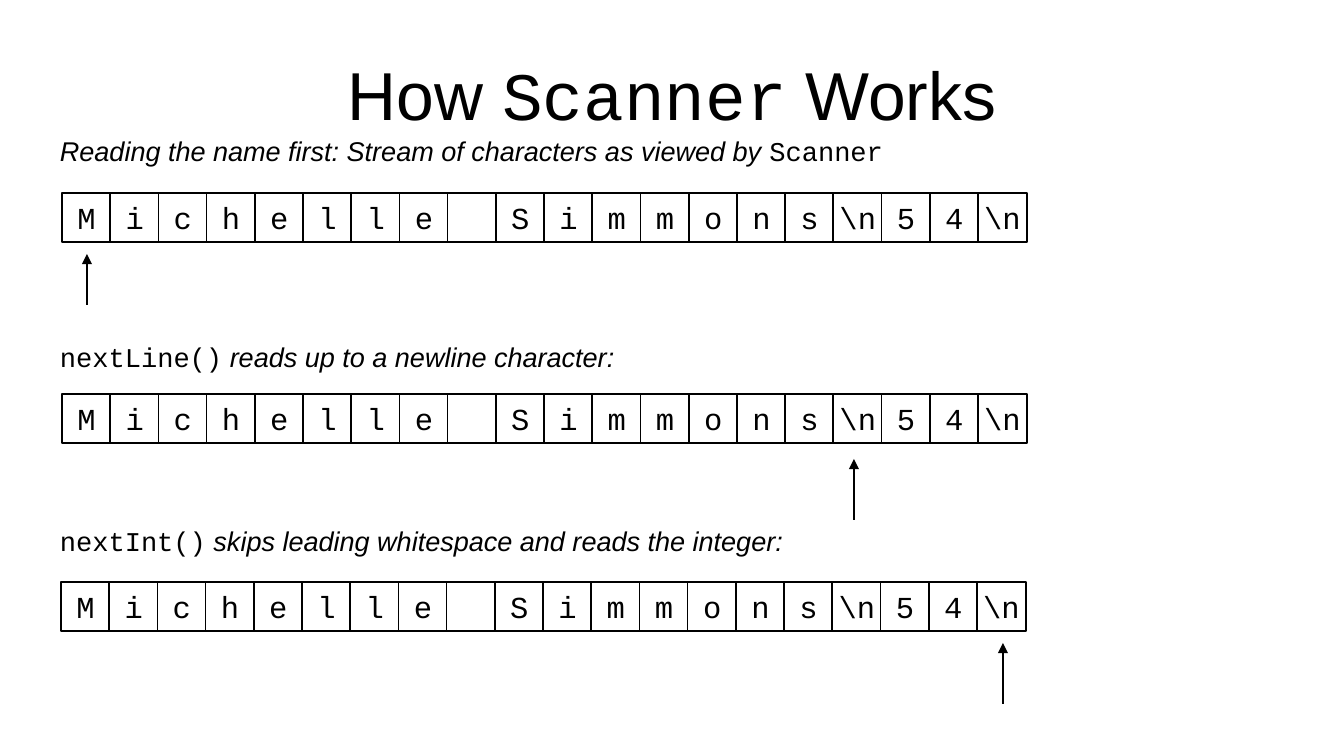
"""Slide showing how Scanner reads a stream of characters."""
from lxml import etree
from pptx import Presentation
from pptx.dml.color import RGBColor
from pptx.enum.shapes import MSO_CONNECTOR, MSO_SHAPE
from pptx.enum.text import MSO_ANCHOR, PP_ALIGN
from pptx.oxml.ns import qn
from pptx.util import Pt

PX = 914400 / 122
BLACK = RGBColor(0x00, 0x00, 0x00)
WHITE = RGBColor(0xFF, 0xFF, 0xFF)
SANS, MONO = "Arial", "Courier New"

STREAM = [*"Michelle Simmons", "\\n", "5", "4", "\\n"]
CELL = 49
ROW_SPAN = 916


def px(*lengths):
    return [round(n * PX) for n in lengths]


def write(shape, runs, size, margins, align=PP_ALIGN.LEFT, anchor=MSO_ANCHOR.TOP, wrap=False):
    tf = shape.text_frame
    tf.word_wrap = wrap
    tf.vertical_anchor = anchor
    tf.margin_left, tf.margin_top = px(*margins)
    tf.margin_right, tf.margin_bottom = px(*margins)
    p = tf.paragraphs[0]
    p.alignment = align
    for text, font, italic in runs:
        r = p.add_run()
        r.text = text
        r.font.name = font
        r.font.size = Pt(size)
        r.font.italic = italic
        r.font.color.rgb = BLACK


prs = Presentation()
prs.slide_width, prs.slide_height = px(1344, 756)
s = prs.slides.add_slide(prs.slide_layouts[6])

title = s.shapes.add_textbox(*px(67, 30, 1210, 127))
title_runs = [("How ", SANS, False), ("Scanner", MONO, False), (" Works", SANS, False)]
write(title, title_runs, 40, (0, 0), PP_ALIGN.CENTER, MSO_ANCHOR.MIDDLE, True)

STEPS = [
    ([("Reading the name first: Stream of characters as viewed by ", SANS, True),
      ("Scanner", MONO, False)], (128, 849), (62, 193), (87, 305, 254)),
    ([("nextLine()", MONO, False),
      (" reads up to a newline character:", SANS, True)], (334, 580), (62, 394), (854, 520, 459)),
    ([("nextInt()", MONO, False),
      (" skips leading whitespace and reads the integer:", SANS, True)],
     (518, 749), (61, 582), (1003, 704, 643)),
]

for label_runs, (label_top, label_width), (row_left, row_top), (arrow_x, tail_y, tip_y) in STEPS:
    label = s.shapes.add_textbox(*px(48, label_top, label_width, 45))
    write(label, label_runs, 16, (12, 6))

    for i, char in enumerate(STREAM):
        left = row_left + i * ROW_SPAN / (len(STREAM) - 1)
        sp = s.shapes.add_shape(MSO_SHAPE.RECTANGLE, *px(left, row_top, CELL, CELL))
        sp.shadow.inherit = False
        sp.fill.solid()
        sp.fill.fore_color.rgb = WHITE
        sp.line.color.rgb = BLACK
        sp.line.width = Pt(1)
        if char != " ":
            write(sp, [(char, MONO, False)], 18, (13, 7), PP_ALIGN.CENTER, MSO_ANCHOR.MIDDLE)

    arrow = s.shapes.add_connector(MSO_CONNECTOR.STRAIGHT, *px(arrow_x, tail_y, arrow_x, tip_y))
    arrow.line.color.rgb = BLACK
    arrow.line.width = Pt(1.5)
    etree.SubElement(arrow.line._get_or_add_ln(), qn("a:tailEnd"), type="triangle")
    etree.SubElement(arrow._element.spPr, qn("a:effectLst"))

prs.save("out.pptx")
